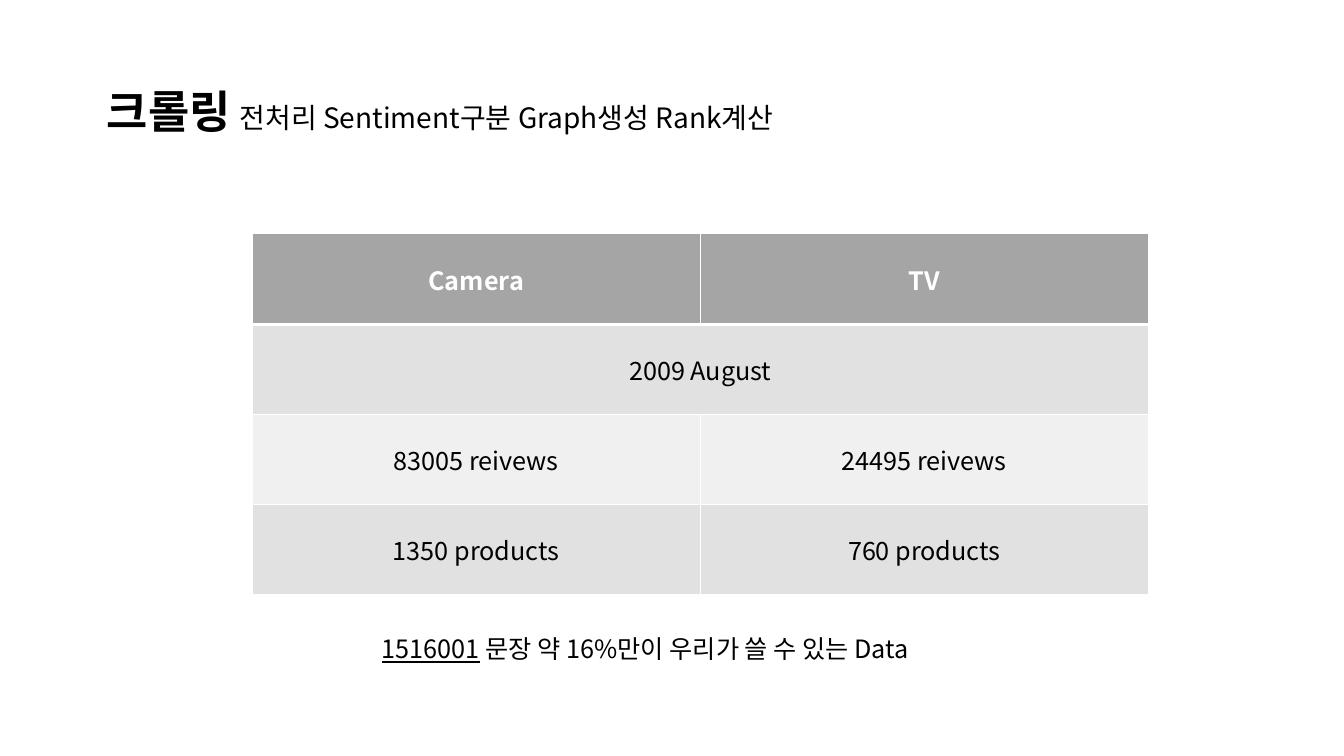
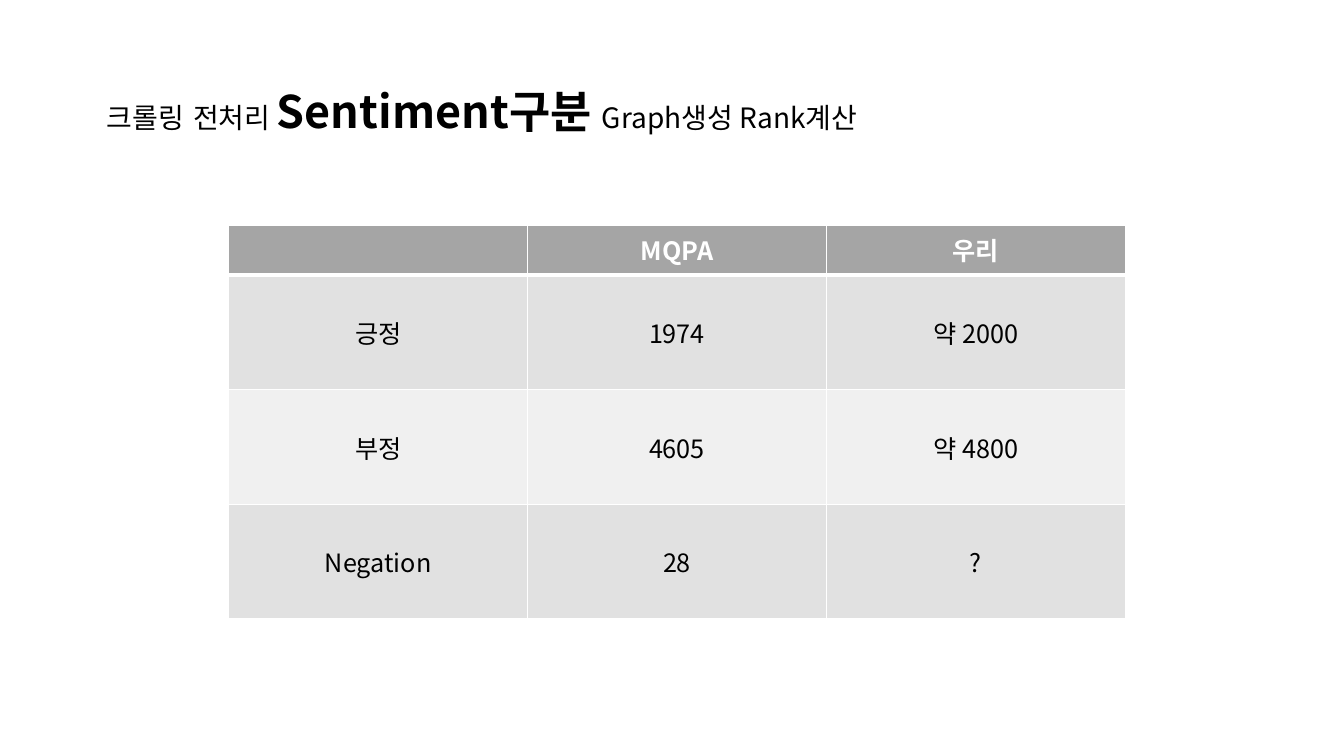
from dataclasses import dataclass

import lxml.etree
import pptx
import pptx.dml.color
import pptx.enum.text
import pptx.oxml.ns
import pptx.util

Inches = pptx.util.Inches
Pt = pptx.util.Pt
ALIGN = pptx.enum.text.PP_ALIGN
ANCHOR = pptx.enum.text.MSO_ANCHOR
qn = pptx.oxml.ns.qn

FONT = "Noto Sans CJK KR"
BLACK = "000000"
WHITE = "FFFFFF"
HEADER = "A5A5A5"
BANDS = ("E1E1E1", "F0F0F0")
STEPS = ("크롤링", "전처리", "Sentiment구분", "Graph생성", "Rank계산")


@dataclass
class Grid:
    left: float
    top: float
    width: float
    height: float
    header_height: float
    header_anchor: ANCHOR
    rows: list[tuple[str, ...]]


@dataclass
class Page:
    active_step: int
    grid: Grid


PAGES = [
    Page(0, Grid(2.5, 2.32, 8.89, 3.58, 0.9, ANCHOR.MIDDLE, [
        ("Camera", "TV"),
        ("2009 August",),
        ("83005 reivews", "24495 reivews"),
        ("1350 products", "760 products"),
    ])),
    Page(2, Grid(2.27, 2.24, 8.89, 3.9, 0.49, ANCHOR.TOP, [
        ("", "MQPA", "우리"),
        ("긍정", "1974", "약 2000"),
        ("부정", "4605", "약 4800"),
        ("Negation", "28", "?"),
    ])),
]


def rgb(color: str) -> pptx.dml.color.RGBColor:
    return pptx.dml.color.RGBColor.from_string(color)


def set_font(p, color: str = BLACK, size: float = 18, bold: bool = False) -> None:
    p.font.name = FONT
    p.font.size = Pt(size)
    p.font.bold = bold
    p.font.color.rgb = rgb(color)
    latin = p._p.pPr.find(qn("a:defRPr")).find(qn("a:latin"))
    ea = lxml.etree.Element(qn("a:ea"), typeface=FONT)
    latin.addnext(ea)


def add_run(p, text: str, size: float, bold: bool = False) -> None:
    r = p.add_run()
    r.text = text
    r.font.size = Pt(size)
    r.font.bold = bold


def add_heading(s, active_step: int) -> None:
    sp = s.shapes.title
    sp.left, sp.top = Inches(0.96), Inches(0.84)
    sp.width, sp.height = Inches(11.5), Inches(0.78)
    tf = sp.text_frame
    tf.auto_size = pptx.enum.text.MSO_AUTO_SIZE.NONE
    tf.vertical_anchor = ANCHOR.TOP
    p = tf.paragraphs[0]
    p.alignment = ALIGN.JUSTIFY
    p.line_spacing = 0.9
    p.space_before = Pt(10)
    set_font(p, size=20)
    for i, step in enumerate(STEPS):
        active = i == active_step
        gap = " " if 0 < i < len(STEPS) - 1 else ""
        add_run(p, step + gap, 32 if active else 20, active)
        if i == 0:
            add_run(p, " ", 28)


def set_borders(cell, top: float, bottom: float) -> None:
    tcPr = cell._tc.get_or_add_tcPr()
    widths = {"lnL": 1, "lnR": 1, "lnT": top, "lnB": bottom}
    for i, (side, width) in enumerate(widths.items()):
        ln = lxml.etree.Element(qn(f"a:{side}"), w=str(Pt(width)))
        fill = lxml.etree.SubElement(ln, qn("a:solidFill"))
        lxml.etree.SubElement(fill, qn("a:srgbClr"), val=WHITE)
        tcPr.insert(i, ln)


def add_grid(s, grid: Grid) -> None:
    n_rows, n_cols = len(grid.rows), len(grid.rows[0])
    table = s.shapes.add_table(
        n_rows, n_cols, Inches(grid.left), Inches(grid.top),
        Inches(grid.width), Inches(grid.height)).table
    body_height = (grid.height - grid.header_height) / (n_rows - 1)
    for i, texts in enumerate(grid.rows):
        header = i == 0
        table.rows[i].height = Inches(grid.header_height if header else body_height)
        for j in range(n_cols):
            cell = table.cell(i, j)
            cell.fill.solid()
            cell.fill.fore_color.rgb = rgb(HEADER if header else BANDS[(i - 1) % 2])
            cell.vertical_anchor = grid.header_anchor if header else ANCHOR.MIDDLE
            set_borders(cell, 3 if i == 1 else 1, 3 if header else 1)
            p = cell.text_frame.paragraphs[0]
            p.alignment = ALIGN.CENTER
            set_font(p, WHITE if header else BLACK, bold=header)
            if j < len(texts) and texts[j]:
                p.add_run().text = texts[j]
        if len(texts) == 1:
            table.cell(i, 0).merge(table.cell(i, n_cols - 1))


def add_summary(s) -> None:
    sp = s.shapes.add_textbox(Inches(3.69), Inches(6.23), Inches(6.51), Inches(0.4))
    tf = sp.text_frame
    tf.word_wrap = True
    p = tf.paragraphs[0]
    set_font(p)
    r = p.add_run()
    r.text = "1516001"
    r.font.underline = True
    p.add_run().text = " 문장 약 16%만이 우리가 쓸 수 있는 Data"


def main() -> None:
    prs = pptx.Presentation()
    prs.slide_width, prs.slide_height = Inches(13.33), Inches(7.5)
    title_only = prs.slide_layouts[5]
    for page in PAGES:
        s = prs.slides.add_slide(title_only)
        add_heading(s, page.active_step)
        add_grid(s, page.grid)
    add_summary(prs.slides[0])
    prs.save("out.pptx")


if __name__ == "__main__":
    main()
